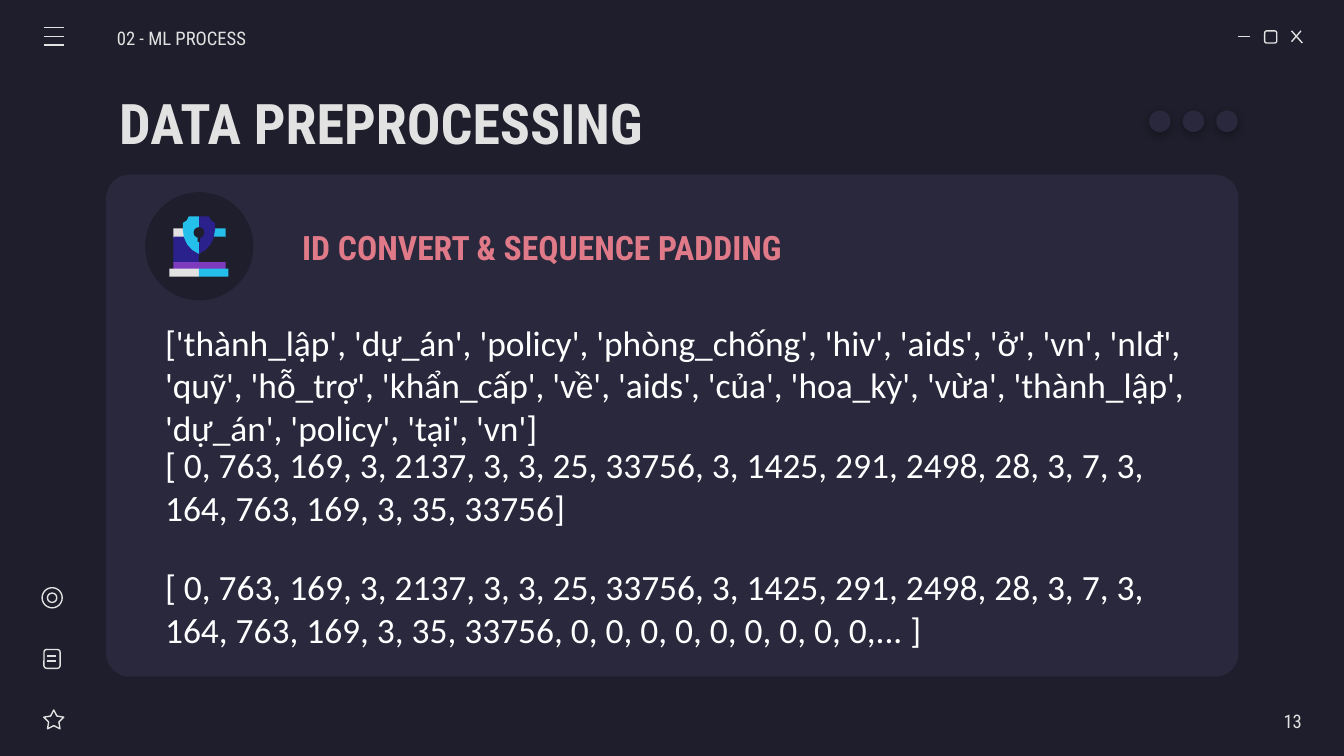
from pptx import Presentation
from pptx.dml.color import RGBColor
from pptx.enum.shapes import MSO_CONNECTOR, MSO_SHAPE
from pptx.enum.text import MSO_ANCHOR, MSO_AUTO_SIZE, PP_ALIGN
from pptx.oxml import parse_xml
from pptx.oxml.ns import nsdecls
from pptx.util import Inches, Pt

DARK, CARD, PALE, WHITE = "1E1E2C", "29283D", "E2E2E2", "FFFFFF"
ROSE, CYAN, NAVY, PLUM = "E07A88", "24BFEB", "2B218D", "7E3BBE"
HEAD, BODY = "Roboto Condensed", "Calibri"
ROUND, OVAL, RECT = MSO_SHAPE.ROUNDED_RECTANGLE, MSO_SHAPE.OVAL, MSO_SHAPE.RECTANGLE

deck = Presentation()
deck.slide_width = Inches(10)
deck.slide_height = deck.slide_width * 9 // 16
cell = deck.slide_width / 100
slide = deck.slides.add_slide(deck.slide_layouts[5])
shapes = slide.shapes


def tint(fill, color):
    if color:
        fill.solid()
        fill.fore_color.rgb = RGBColor.from_string(color)
    else:
        fill.background()


def grid(*spans):
    return [round(span * cell) for span in spans]


tint(slide.background.fill, DARK)

plates = [
    (ROUND, (7.9, 13, 84.25, 37.35), CARD, None, (0.047,)),
    (ROUND, (94.1, 2.3, 0.9, 0.9), None, PALE, (0.167,)),
    (MSO_SHAPE.STAR_5_POINT, (3.25, 52.83, 1.5, 1.4), None, PALE, (0.254, 1.051, 1.106)),
    (ROUND, (3.27, 48.33, 1.2, 1.4), None, PALE, (0.167,)),
    (OVAL, (3.13, 43.73, 1.5, 1.5), None, PALE, ()),
    (OVAL, (3.53, 44.13, 0.7, 0.7), None, PALE, ()),
    (OVAL, (10.8, 14.3, 8.05, 8.05), DARK, None, ()),
]
plates += [(OVAL, (85.5 + 2.5 * n, 8.23, 1.6, 1.6), CARD, None, ()) for n in range(3)]

bands = [
    (17, 0.7, 1.9, 2, PALE, CYAN),
    (17.6, 1.9, 1.9, 2, NAVY, DARK),
    (19.5, 0.6, 1.9, 2, PLUM, PLUM),
    (20, 0.6, 2.2, 2.2, PALE, CYAN),
]
mid = 14.8
for top, high, left, right, near, far in bands:
    plates += [
        (RECT, (mid - left, top, left, high), near, None, ()),
        (RECT, (mid, top, right, high), far, None, ()),
    ]

for kind, box, fill, line, bends in plates:
    plate = shapes.add_shape(kind, *grid(*box))
    plate.shadow.inherit = False
    tint(plate.fill, fill)
    tint(plate.line.fill, line)
    if line:
        plate.line.width = Pt(0.75)
    for n, bend in enumerate(bends):
        plate.adjustments[n] = bend
    if kind == OVAL and fill == CARD:
        glow = parse_xml(
            f'<a:outerShdw {nsdecls("a")} blurRad="57150" dist="19050" dir="5400000">'
            '<a:srgbClr val="000000"><a:alpha val="30000"/></a:srgbClr></a:outerShdw>'
        )
        plate.element.spPr.find("{*}effectLst").append(glow)

half = [(0, 16.1), (0.75, 16.1), (0.9, 16.4), (1.2, 16.6), (1.2, 17.1),
        (1.1, 17.7), (0.86, 18.2), (0.5, 18.6), (0, 18.9)]
for side, color in ((1, NAVY), (-1, CYAN)):
    spots = [grid(mid + side * x, y) for x, y in half]
    pen = shapes.build_freeform(*spots[0])
    pen.add_line_segments(spots[1:])
    shield = pen.convert_to_shape()
    shield.shadow.inherit = False
    tint(shield.fill, color)
    tint(shield.line.fill, None)

for kind, box in ((RECT, (14.7, 17.5, 0.2, 0.5)), (OVAL, (14.4, 16.9, 0.8, 0.8))):
    lock = shapes.add_shape(kind, *grid(*box))
    lock.shadow.inherit = False
    tint(lock.fill, DARK)
    tint(lock.line.fill, None)

rules = [(92.1, 2.7, 93, 2.7), (96.1, 2.3, 96.9, 3.2), (96.8, 2.3, 96.1, 3.1)]
rules += [(3.25, y, 4.75, y) for y in (2.05, 2.7, 3.35)]
rules += [(3.5, y, 4.2, y) for y in (48.8, 49.2)]
for ends in rules:
    rule = shapes.add_connector(MSO_CONNECTOR.STRAIGHT, *grid(*ends))
    tint(rule.line.fill, PALE)
    rule.line.width = Pt(0.75)
    rule.element.spPr.append(parse_xml(f'<a:effectLst {nsdecls("a")}/>'))

codes = ("[ 0, 763, 169, 3, 2137, 3, 3, 25, 33756, 3, 1425, 291, 2498, 28, "
         "3, 7, 3, 164, 763, 169, 3, 35, 33756")
words = ("['thành_lập', 'dự_án', 'policy', 'phòng_chống', 'hiv', 'aids', 'ở', "
         "'vn', 'nlđ', 'quỹ', 'hỗ_trợ', 'khẩn_cấp', 'về', 'aids', 'của', "
         "'hoa_kỳ', 'vừa', 'thành_lập', 'dự_án', 'policy', 'tại', 'vn']")
bold = {"name": HEAD, "bold": True}
small = {"name": HEAD, "size": Pt(10)}
plain = {"name": BODY, "size": Pt(19)}
center = {"vertical_anchor": MSO_ANCHOR.MIDDLE, "auto_size": MSO_AUTO_SIZE.NONE}
grow = {"vertical_anchor": MSO_ANCHOR.TOP, "auto_size": MSO_AUTO_SIZE.SHAPE_TO_FIT_TEXT}
left = {"alignment": PP_ALIGN.LEFT}
loose = {"line_spacing": 1.15}

texts = [
    ("DATA PREPROCESSING", (7.87, 5.9, 78.8, 6.3), PALE,
     bold | {"size": Pt(30)}, center, left),
    ("02 - ML PROCESS", (8.7, 1.2, 11.7, 3), PALE,
     small, center | {"margin_left": 0}, left | loose),
    ("13", (85.17, 52.05, 11.7, 3), PALE,
     small, center | {"margin_right": 0}, loose | {"alignment": PP_ALIGN.RIGHT}),
    ("ID CONVERT & SEQUENCE PADDING", (21.5, 15.2, 44, 6.3), ROSE,
     bold | {"size": Pt(18)}, center, left),
]
lists = (words, codes + "]", codes + ", 0" * 9 + ",... ]")
texts += [(text, (11.3, 22.87 + 9.1 * n, 78.8, 8.4), WHITE, plain, grow, left)
          for n, text in enumerate(lists)]

pads = {f"margin_{side}": Inches(0.1) for side in ("left", "top", "right", "bottom")}
for n, (text, box, color, face, fit, flow) in enumerate(texts):
    area = grid(*box)
    label = shapes.add_textbox(*area) if n else shapes.title
    label.left, label.top, label.width, label.height = area
    frame = label.text_frame
    frame.text = text
    para = frame.paragraphs[0]
    font = para.runs[0].font
    tint(font.fill, color)
    for item, look in ((frame, pads | {"word_wrap": True} | fit), (para, flow), (font, face)):
        for key, value in look.items():
            setattr(item, key, value)

deck.save("out.pptx")
